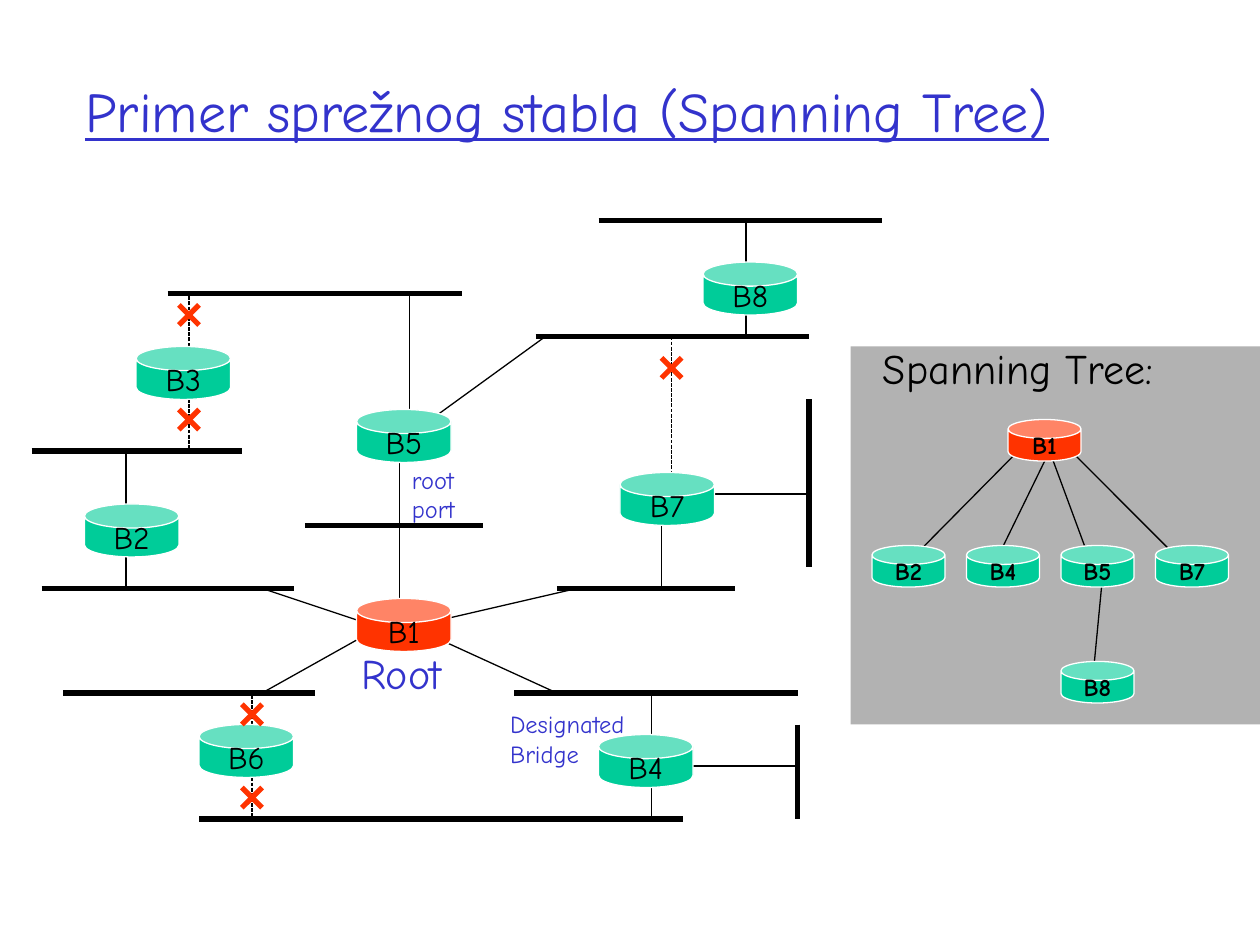
from dataclasses import dataclass

import lxml.etree
import pptx
import pptx.dml.color
import pptx.enum.dml
import pptx.enum.shapes
import pptx.enum.text
import pptx.oxml.ns
import pptx.util
from pptx.util import Inches


@dataclass(frozen=True)
class Theme:
    font: str = "Comic Neue"
    ink: str = "000000"
    accent: str = "3333CC"
    bridge: str = "00CC99"
    root: str = "FF3300"
    panel: str = "B2B2B2"
    outline: str = "FFFFFF"
    title_size: int = 32
    heading_size: int = 24
    bridge_size: int = 18
    small_size: int = 14
    thick: float = 3
    thin: float = 0.74


THEME = Theme()

# LAN segments: x1, y1, x2, y2
SEGMENTS = [
    (1.33, 2.33, 3.67, 2.33), (4.25, 2.67, 6.42, 2.67),
    (6.42, 3.17, 6.42, 4.5), (4.08, 5.5, 6.33, 5.5),
    (6.33, 5.75, 6.33, 6.5), (1.58, 6.5, 5.42, 6.5),
    (0.5, 5.5, 2.5, 5.5), (0.25, 3.58, 1.92, 3.58),
    (0.33, 4.67, 2.33, 4.67), (2.42, 4.17, 3.83, 4.17),
    (4.42, 4.67, 5.83, 4.67), (4.75, 1.75, 7, 1.75),
]

# Active links between bridges and segments
LINKS = [
    (1, 4.67, 1, 4.25), (1, 4, 1, 3.58),
    (3.25, 3.25, 3.25, 2.33), (3.42, 3.33, 4.33, 2.67),
    (3.17, 3.67, 3.17, 4.17), (3.17, 4.17, 3.17, 4.75),
    (2.08, 4.67, 2.83, 4.92), (2.08, 5.5, 2.83, 5.08),
    (5.17, 5.83, 5.17, 5.5), (5.17, 6.25, 5.17, 6.5),
    (5.42, 6.08, 6.33, 6.08), (5.25, 4.17, 5.25, 4.67),
    (3.5, 4.92, 4.58, 4.67), (5.67, 3.92, 6.42, 3.92),
    (3.5, 5.08, 4.42, 5.5), (5.92, 1.75, 5.92, 2.08),
    (5.92, 2.5, 5.92, 2.67),
]

# Blocked links, and the centres of the crosses on them
BLOCKED_LINKS = [
    (1.5, 3, 1.5, 3.58), (1.5, 2.75, 1.5, 2.33), (5.33, 2.67, 5.33, 3.75),
    (2, 6.17, 2, 6.5), (2, 5.75, 2, 5.5),
]
CROSSES = [(1.5, 2.5), (1.5, 3.33), (2, 5.67), (2, 6.33), (5.33, 2.92)]

# Bridges: name, left, top
NETWORK_BRIDGES = [
    ("B3", 1.08, 2.75), ("B5", 2.83, 3.25), ("B7", 4.92, 3.75),
    ("B2", 0.67, 4), ("B1", 2.83, 4.75), ("B6", 1.58, 5.75),
    ("B4", 4.75, 5.83), ("B8", 5.58, 2.08),
]
TREE_LINKS = [
    (8.08, 3.58, 7.25, 4.42), (8.33, 3.58, 7.92, 4.42),
    (8.33, 3.58, 8.67, 4.5), (8.5, 3.58, 9.42, 4.5),
    (8.75, 4.58, 8.67, 5.42),
]
TREE_CHILDREN = ["B2", "B4", "B5", "B7"]


def rgb(color):
    return pptx.dml.color.RGBColor.from_string(color)


def add_run(paragraph, text, size, color, bold=False, underline=False):
    run = paragraph.add_run()
    run.text = text
    run.font.name = THEME.font
    run.font.size = pptx.util.Pt(size)
    run.font.color.rgb = rgb(color)
    run.font.bold = bold
    run.font.underline = underline


def add_label(slide, lines, box, size, color, underline=False, middle=False):
    shape = slide.shapes.add_textbox(*map(Inches, box))
    frame = shape.text_frame
    frame.word_wrap = True
    if middle:
        frame.vertical_anchor = pptx.enum.text.MSO_ANCHOR.MIDDLE
    for index, line in enumerate(lines):
        paragraph = frame.add_paragraph() if index else frame.paragraphs[0]
        add_run(paragraph, line, size, color, underline=underline)


def add_line(shapes, ends, width, color=THEME.ink, dashed=False):
    connector = shapes.add_connector(
        pptx.enum.shapes.MSO_CONNECTOR.STRAIGHT, *map(Inches, ends))
    connector.line.width = pptx.util.Pt(width)
    connector.line.color.rgb = rgb(color)
    if dashed:
        connector.line.dash_style = pptx.enum.dml.MSO_LINE.SQUARE_DOT
    properties = connector.element.find(pptx.oxml.ns.qn("p:spPr"))
    lxml.etree.SubElement(properties, pptx.oxml.ns.qn("a:effectLst"))


def add_cross(slide, x, y, reach=0.08):
    group = slide.shapes.add_group_shape()
    for rise in (reach, -reach):
        ends = (x - reach, y + rise, x + reach, y - rise)
        add_line(group.shapes, ends, THEME.thick, THEME.root)


def add_filled_shape(slide, kind, box, fill):
    shape = slide.shapes.add_shape(kind, *map(Inches, box))
    shape.shadow.inherit = False
    shape.fill.solid()
    shape.fill.fore_color.rgb = rgb(fill)
    shape.line.fill.background()
    return shape


def add_bridge(slide, name, left, top, small=False):
    width, height = (0.58, 0.33) if small else (0.75, 0.42)
    fill = THEME.root if name == "B1" else THEME.bridge
    can = add_filled_shape(slide, pptx.enum.shapes.MSO_SHAPE.CAN,
                           (left, top, width, height), fill)
    can.adjustments[0] = 0.455
    can.line.color.rgb = rgb(THEME.outline)
    can.line.width = pptx.util.Pt(THEME.thin)
    frame = can.text_frame
    frame.word_wrap = False
    frame.vertical_anchor = pptx.enum.text.MSO_ANCHOR.MIDDLE
    paragraph = frame.paragraphs[0]
    paragraph.alignment = pptx.enum.text.PP_ALIGN.CENTER
    size = THEME.small_size if small else THEME.bridge_size
    add_run(paragraph, name, size, THEME.ink, bold=small)


def add_network(slide):
    for ends in SEGMENTS:
        add_line(slide.shapes, ends, THEME.thick)
    for ends in LINKS:
        add_line(slide.shapes, ends, THEME.thin)
    for ends in BLOCKED_LINKS:
        add_line(slide.shapes, ends, THEME.thin, dashed=True)
    for name, left, top in NETWORK_BRIDGES:
        add_bridge(slide, name, left, top)
    for x, y in CROSSES:
        add_cross(slide, x, y)
    add_label(slide, ["Root"], (2.77, 5.09, 0.9, 0.5),
              THEME.heading_size, THEME.accent)
    add_label(slide, ["Designated", "Bridge"], (3.95, 5.58, 1.2, 0.57),
              THEME.small_size, THEME.accent)
    add_label(slide, ["root", "port"], (3.17, 3.64, 0.71, 0.57),
              THEME.small_size, THEME.accent)


def add_spanning_tree(slide):
    add_filled_shape(slide, pptx.enum.shapes.MSO_SHAPE.RECTANGLE,
                     (6.75, 2.75, 3.25, 3), THEME.panel)
    for ends in TREE_LINKS:
        add_line(slide.shapes, ends, THEME.thin)
    for index, name in enumerate(TREE_CHILDREN):
        add_bridge(slide, name, 6.92 + 0.75 * index, 4.33, small=True)
    add_bridge(slide, "B8", 8.42, 5.25, small=True)
    add_bridge(slide, "B1", 8, 3.33, small=True)
    add_label(slide, ["Spanning Tree:"], (6.91, 2.67, 2.5, 0.5),
              THEME.heading_size, THEME.ink)


def main():
    presentation = pptx.Presentation()
    presentation.slide_width = Inches(10)
    presentation.slide_height = Inches(7.5)
    slide = presentation.slides.add_slide(presentation.slide_layouts[6])
    add_label(slide, ["Primer sprežnog stabla (Spanning Tree)"],
              (0.58, 0.25, 8.5, 1.25), THEME.title_size, THEME.accent,
              underline=True, middle=True)
    add_network(slide)
    add_spanning_tree(slide)
    presentation.save("out.pptx")


main()
